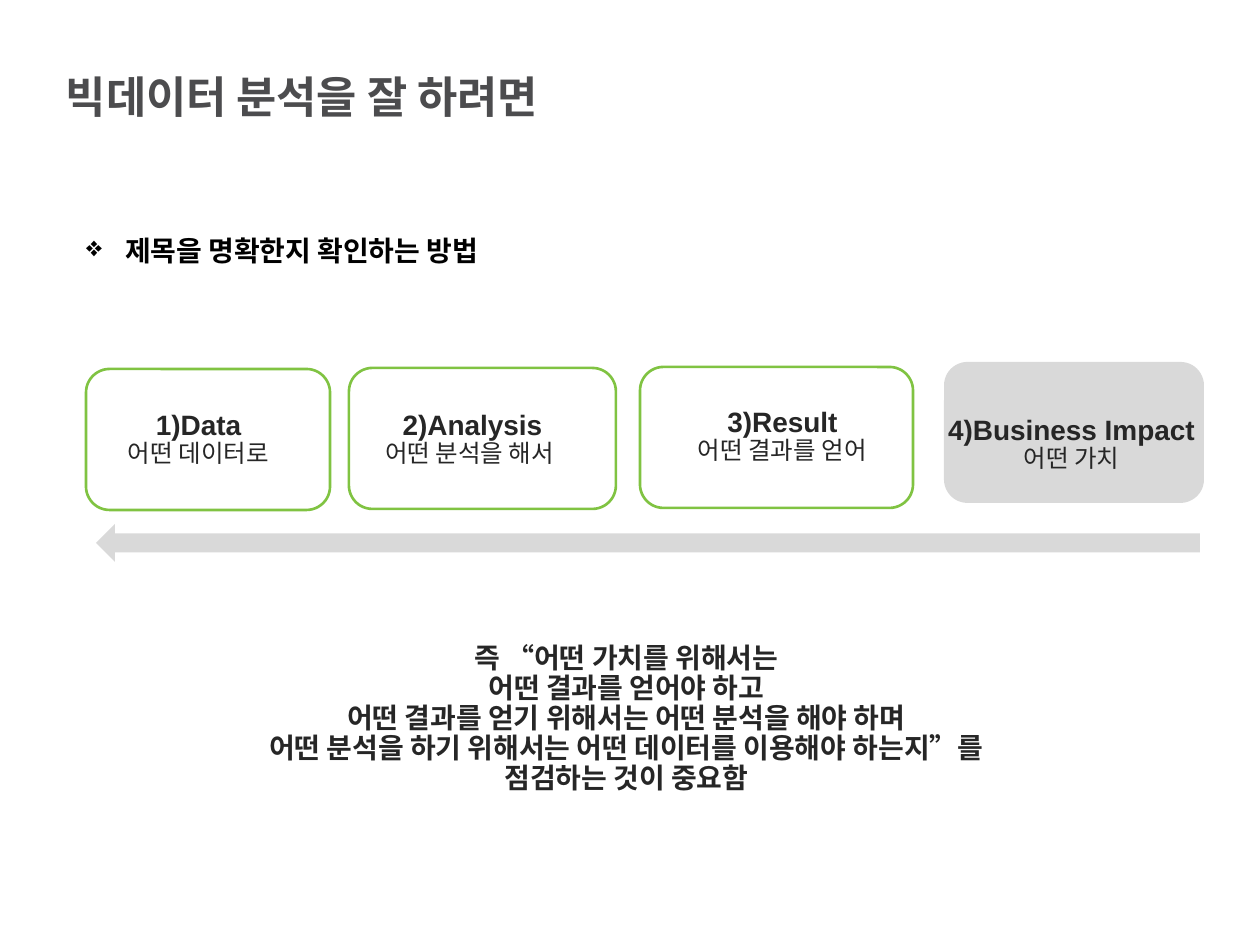
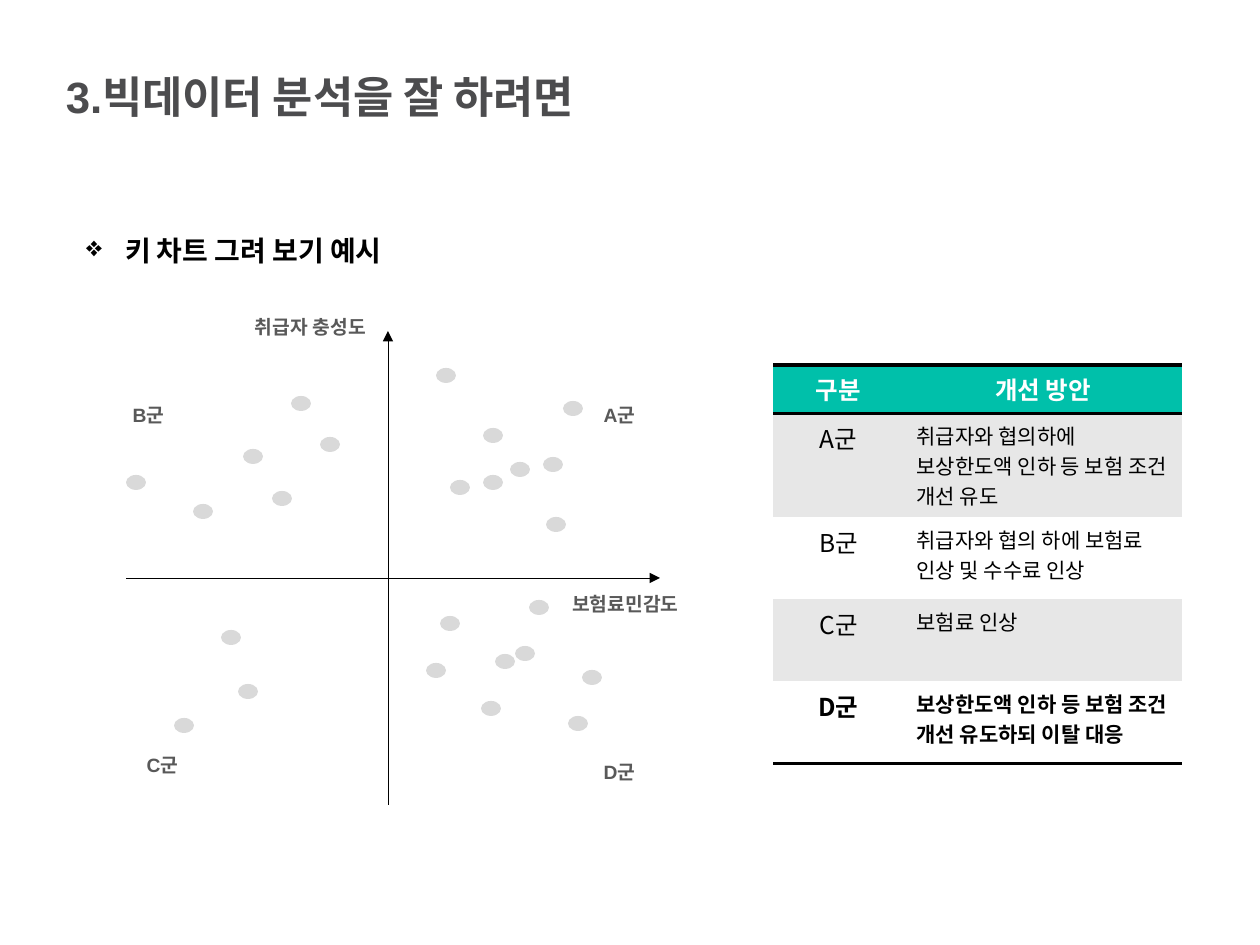
import pptx
import pptx.util
import pptx.dml.color
import pptx.enum.shapes
import pptx.enum.text
import pptx.oxml
import pptx.oxml.ns
from dataclasses import dataclass
from lxml import etree

SCALE = 914400 / 126
SHAPE = pptx.enum.shapes.MSO_SHAPE
ALIGN = pptx.enum.text.PP_ALIGN
ANCHOR = pptx.enum.text.MSO_ANCHOR
qn = pptx.oxml.ns.qn


@dataclass(frozen=True)
class Theme:
    face: str = "Arial"
    grid_face: str = "Noto Sans CJK KR"
    black: str = "000000"
    white: str = "FFFFFF"
    title: str = "4C4C4E"
    ink: str = "262626"
    label: str = "595959"
    green: str = "80C342"
    grey: str = "D9D9D9"
    teal: str = "00C0AA"
    band: str = "E7E7E7"
    title_size: int = 25
    head_size: int = 16
    body_size: int = 14
    cell_size: int = 12
    label_size: int = 11
    tight: float = 0.9


T = Theme()


def px(n):
    return pptx.util.Emu(round(n * SCALE))


def rgb(code):
    return pptx.dml.color.RGBColor.from_string(code)


def apply(obj, values):
    for name, value in values.items():
        setattr(obj, name, value)


def style(font, size, color, bold=True, face=T.face):
    apply(font, {"size": pptx.util.Pt(size), "bold": bold, "name": face})
    font.color.rgb = rgb(color)


def write(frame, lines, align=ALIGN.LEFT, gap=None, anchor=ANCHOR.TOP):
    """Fill a frame with lines, each (words, size, colour, bold)."""
    apply(frame, {"word_wrap": True, "vertical_anchor": anchor,
                  "auto_size": pptx.enum.text.MSO_AUTO_SIZE.NONE,
                  "margin_left": 0, "margin_right": 0,
                  "margin_top": 0, "margin_bottom": 0})
    for i, (words, *look) in enumerate(lines):
        para = frame.add_paragraph() if i else frame.paragraphs[0]
        apply(para, {"alignment": align, "line_spacing": gap})
        run = para.add_run()
        run.text = words
        style(run.font, *look)


def text(slide, box, lines, **look):
    frame = slide.shapes.add_textbox(*map(px, box)).text_frame
    write(frame, lines, **look)
    return frame


def shape(slide, kind, box, fill, line=None):
    item = slide.shapes.add_shape(kind, *map(px, box))
    item.shadow.inherit = False
    item.fill.solid()
    item.fill.fore_color.rgb = rgb(fill)
    if line:
        item.line.color.rgb = rgb(line)
        item.line.width = pptx.util.Pt(1.5)
    else:
        item.line.fill.background()


def arrow(slide, *ends):
    kind = pptx.enum.shapes.MSO_CONNECTOR.STRAIGHT
    item = slide.shapes.add_connector(kind, *map(px, ends))
    item.line.color.rgb = rgb(T.black)
    item.line.width = pptx.util.Pt(0.5)
    etree.SubElement(item.line._get_or_add_ln(), qn("a:tailEnd"), type="triangle")
    etree.SubElement(item._element.spPr, qn("a:effectLst"))


def page(deck, title, topic):
    """Add a slide with its title and bulleted topic line."""
    slide = deck.slides.add_slide(deck.slide_layouts[5])
    head = slide.shapes.title
    apply(head, dict(zip(("left", "top", "width", "height"),
                         map(px, (66, 76, 1062, 60)))))
    write(head.text_frame, [(title, T.title_size, T.title)], gap=T.tight)
    frame = text(slide, (86, 237, 562, 38), [(topic, T.head_size, T.black)], gap=T.tight)
    props = frame.paragraphs[0]._p.get_or_add_pPr()
    props.set("marL", str(px(39)))
    props.set("indent", str(px(-39)))
    etree.SubElement(props, qn("a:buChar"), char="❖")
    return slide


def flow(slide, x, y):
    """Four step cards over an arrow that runs back to the first."""
    steps = [
        (0, 7, 244, -19, 49, "1)Data", "어떤 데이터로"),
        (263, 6, 267, 255, 49, "2)Analysis", "어떤 분석을 해서 "),
        (554, 5, 273, 565, 46, "3)Result", "어떤 결과를 얻어"),
        (858, 0, 260, 854, 46, "4)Business Impact", "어떤 가치"),
    ]
    for left, top, wide, tx, ty, name, note in steps:
        last = name == steps[-1][5]
        fill, line = (T.grey, None) if last else (T.white, T.green)
        shape(slide, SHAPE.ROUNDED_RECTANGLE, (x + left, y + top, wide, 141), fill, line)
        text(slide, (x + tx, y + ty, 263, 73),
             [(name, T.head_size, T.ink), (note, T.body_size, T.ink, False)],
             align=ALIGN.CENTER, gap=T.tight,
             anchor=ANCHOR.MIDDLE if last else ANCHOR.TOP)
    shape(slide, SHAPE.LEFT_ARROW, (x + 10, y + 162, 1104, 38), T.grey)


def closing(slide, box):
    lines = ["즉 “어떤 가치를 위해서는 ",
             "어떤 결과를 얻어야 하고 ",
             "어떤 결과를 얻기 위해서는 어떤 분석을 해야 하며 ",
             "어떤 분석을 하기 위해서는 어떤 데이터를 이용해야 하는지”를 ",
             "점검하는 것이 중요함 "]
    text(slide, box, [(line, T.head_size, T.ink) for line in lines],
         align=ALIGN.CENTER, gap=T.tight)


def plot(slide, x, y):
    """Quadrant map of groups A to D."""
    arrow(slide, x, y + 263, x + 534, y + 263)
    arrow(slide, x + 262, y + 490, x + 262, y + 16)
    dots = [
        (310, 53), (357, 113), (437, 86), (417, 142), (357, 160), (420, 202),
        (384, 147), (324, 165),
        (0, 160), (67, 189), (117, 134), (165, 81), (146, 176), (194, 122),
        (95, 315), (112, 369), (48, 403),
        (300, 348), (355, 386), (389, 331), (442, 401), (314, 301),
        (369, 339), (403, 285), (456, 355),
    ]
    for dx, dy in dots:
        shape(slide, SHAPE.OVAL, (x + dx, y + dy, 20, 15), T.grey)
    labels = [(437, 277, "보험료민감도"), (122, 0, "취급자 충성도"),
              (431, 88, "A군"), (-40, 88, "B군"), (-26, 438, "C군"), (431, 445, "D군")]
    for dx, dy, name in labels:
        text(slide, (x + dx, y + dy, 125, 28), [(name, T.label_size, T.label)],
             align=ALIGN.CENTER)


def border(cell, side):
    line = pptx.oxml.parse_xml(
        f'<a:{side} xmlns:a="http://schemas.openxmlformats.org/drawingml/2006/main" w="25400">'
        f'<a:solidFill><a:srgbClr val="{T.black}"/></a:solidFill></a:{side}>')
    props = cell._tc.get_or_add_tcPr()
    props.insert(len(props.findall(qn("a:lnT"))), line)


def plans(slide, x, y):
    """Table of the remedy for each group."""
    rows = [("구분", "개선 방안"),
            ("A군", "취급자와 협의하에 보상한도액 인하 등 보험 조건 개선 유도"),
            ("B군", "취급자와 협의 하에 보험료 인상 및 수수료 인상"),
            ("C군", "보험료 인상"),
            ("D군", "보상한도액 인하 등 보험 조건 개선 유도하되 이탈 대응")]
    end = len(rows) - 1
    grid = slide.shapes.add_table(len(rows), 2, *map(px, (x, y, 409, 375))).table
    apply(grid, {"first_row": False, "horz_banding": False})
    bare = "{2D5ABB26-0587-4C30-8999-92F81FD0307C}"
    grid._tbl.tblPr.find(qn("a:tableStyleId")).text = bare
    for col, wide in zip(grid.columns, (131, 278)):
        col.width = px(wide)
    for r, row in enumerate(rows):
        grid.rows[r].height = px(82 if r else 47)
        for c, words in enumerate(row):
            cell = grid.cell(r, c)
            cell.fill.solid()
            cell.fill.fore_color.rgb = rgb((T.band if r % 2 else T.white) if r else T.teal)
            para = cell.text_frame.paragraphs[0]
            para.alignment = ALIGN.LEFT if r and c else ALIGN.CENTER
            run = para.add_run()
            run.text = words
            style(run.font, T.cell_size if r and c else T.body_size,
                  T.black if r else T.white, r in (0, end), T.grid_face)
            etree.SubElement(run._r.rPr, qn("a:ea"), typeface=T.grid_face)
            if r == 0:
                border(cell, "lnT")
            if r in (0, end):
                border(cell, "lnB")


def main():
    deck = pptx.Presentation()
    apply(deck, {"slide_width": px(1260), "slide_height": px(945)})
    slide = page(deck, "빅데이터 분석을 잘 하려면", "제목을 명확한지 확인하는 방법")
    flow(slide, 86, 362)
    closing(slide, (60, 644, 1139, 38))
    slide = page(deck, "3.빅데이터 분석을 잘 하려면", "키 차트 그려 보기 예시")
    plot(slide, 126, 315)
    plans(slide, 773, 365)
    deck.save("out.pptx")


if __name__ == "__main__":
    main()
